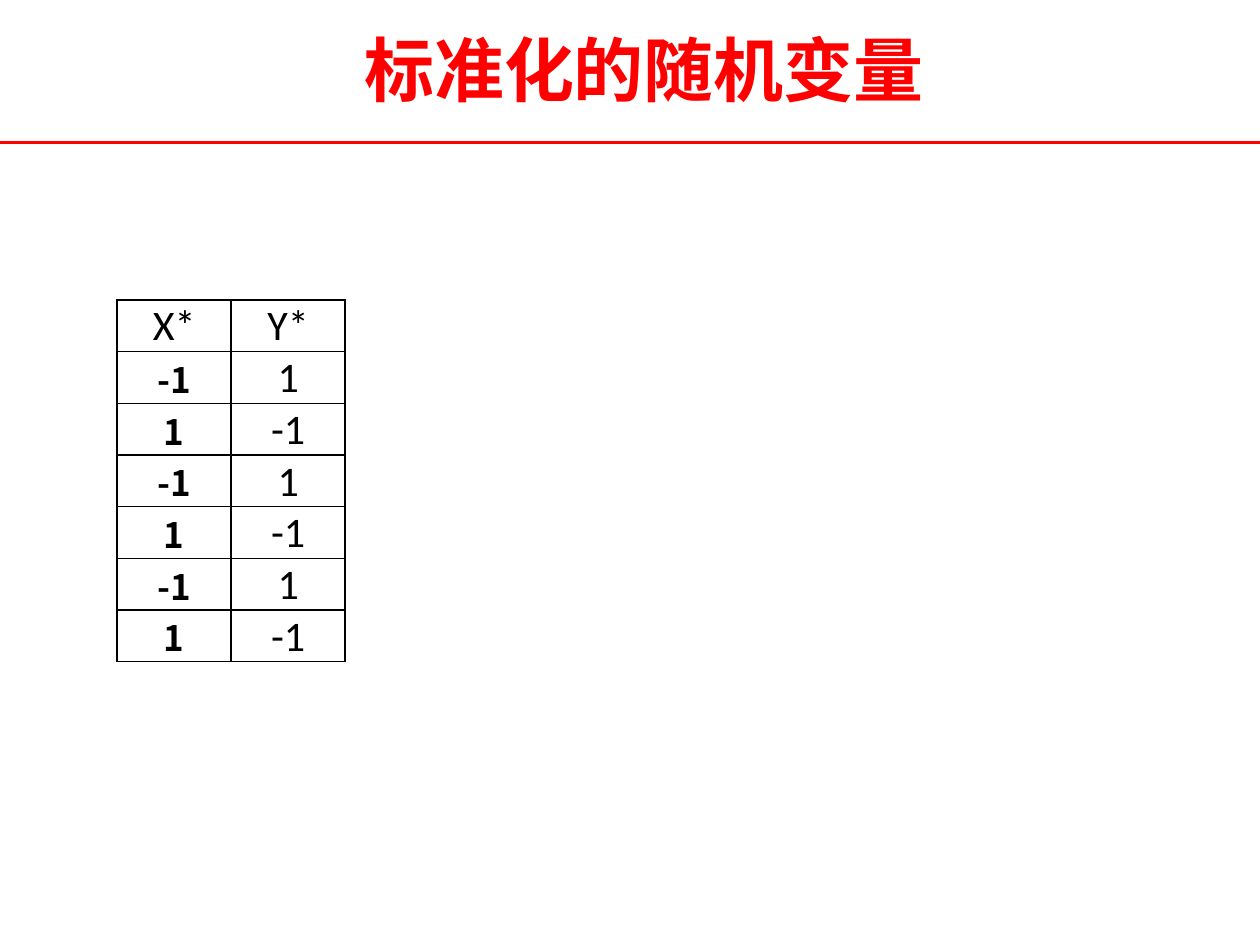
from lxml.etree import SubElement
from pptx import Presentation
from pptx.dml.color import RGBColor
from pptx.enum.shapes import MSO_CONNECTOR
from pptx.enum.text import MSO_ANCHOR, PP_ALIGN
from pptx.oxml.ns import qn
from pptx.util import Inches, Pt

HUES = {"red": "FF0000", "ink": "000000"}
HEAD = {"size": Pt(40), "name": "Times New Roman", "bold": True}
BOLD = {"size": Pt(20), "name": "Noto Sans CJK SC", "bold": True}
PLAIN = {"size": Pt(24), "name": "Calibri", "bold": False}
INSET = {
    "margin_left": Inches(0.01),
    "margin_right": Inches(0.01),
    "margin_top": Inches(0.01),
    "margin_bottom": Inches(0),
    "vertical_anchor": MSO_ANCHOR.MIDDLE,
}


def write(frame, text, style, hue):
    para = frame.paragraphs[0]
    para.alignment = PP_ALIGN.CENTER
    run = para.add_run()
    run.text = text
    for key, value in style.items():
        setattr(run.font, key, value)
    run.font.color.rgb = RGBColor.from_string(HUES[hue])
    return run


def border(cell, hue):
    props = cell._tc.get_or_add_tcPr()
    for spot, side in enumerate(("lnL", "lnR", "lnT", "lnB")):
        line = props.makeelement(qn(f"a:{side}"), {"w": str(Pt(1))})
        fill = SubElement(line, qn("a:solidFill"))
        SubElement(fill, qn("a:srgbClr"), val=HUES[hue])
        props.insert(spot, line)


deck = Presentation()
deck.slide_width, deck.slide_height = Inches(10), Inches(7.5)
slide = deck.slides.add_slide(deck.slide_layouts[6])

title = slide.shapes.add_textbox(Inches(2.45), Inches(0.16), Inches(5.32), Inches(0.77))
title.text_frame.word_wrap = True
title.text_frame.vertical_anchor = MSO_ANCHOR.MIDDLE
run = write(title.text_frame, "标准化的随机变量", HEAD, "red")
SubElement(run.font._element, qn("a:ea"), typeface="Noto Sans CJK SC")

rule = slide.shapes.add_connector(
    MSO_CONNECTOR.STRAIGHT, Inches(0), Inches(1.13), Inches(10), Inches(1.13)
)
rule.line.color.rgb = RGBColor.from_string(HUES["red"])
rule.line.width = Pt(1.5)
SubElement(rule._element.spPr, qn("a:effectLst"))

rows = [("X*", "Y*")] + [("-1", "1"), ("1", "-1")] * 3
table = slide.shapes.add_table(
    len(rows), 2, Inches(0.93), Inches(2.38), Inches(1.81), Inches(2.87)
).table
table.first_row = table.horz_banding = False

for r, row in enumerate(rows):
    for c, text in enumerate(row):
        cell = table.cell(r, c)
        cell.fill.background()
        for key, value in INSET.items():
            setattr(cell, key, value)
        border(cell, "ink")
        write(cell.text_frame, text, BOLD if r and c == 0 else PLAIN, "ink")

deck.save("out.pptx")
